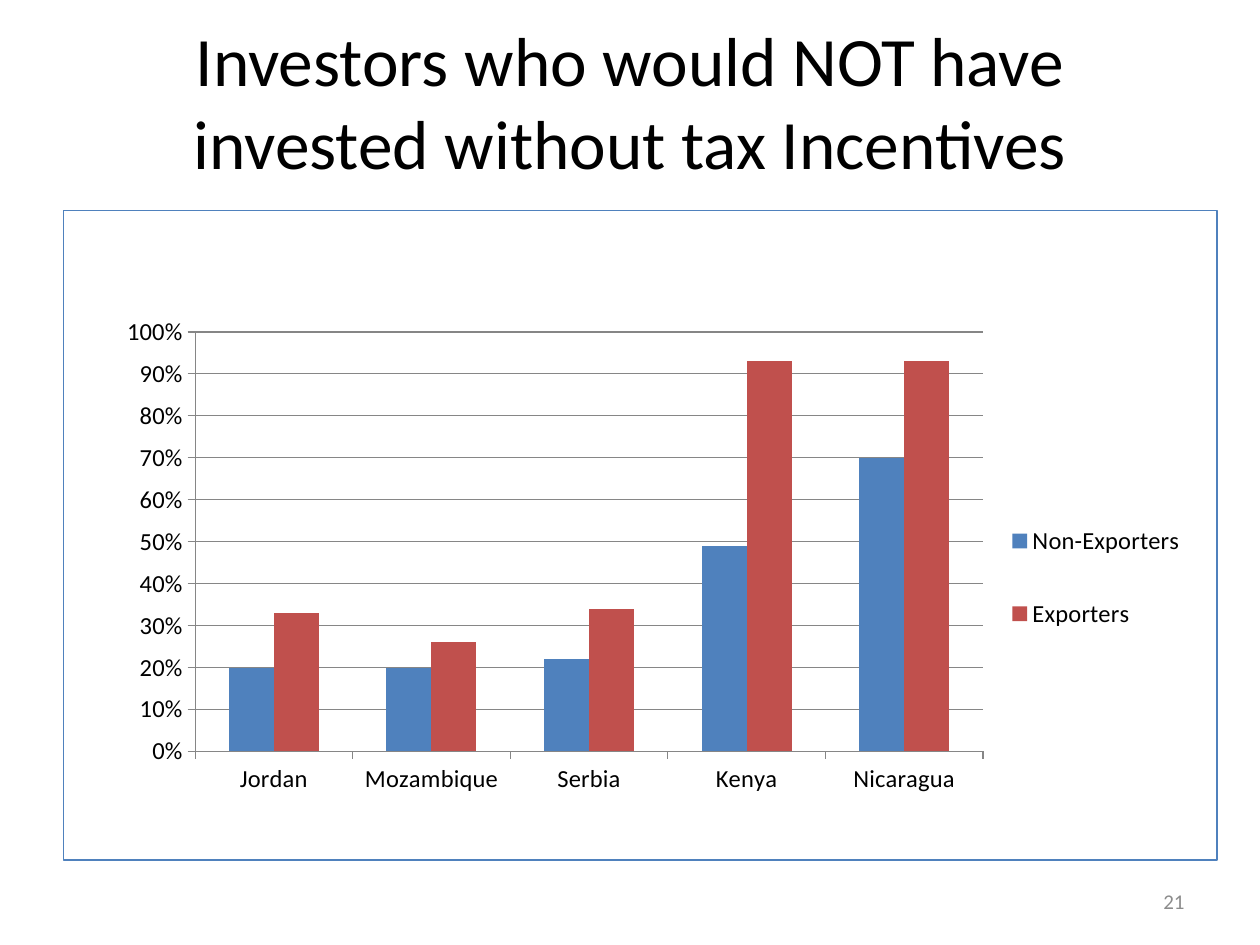
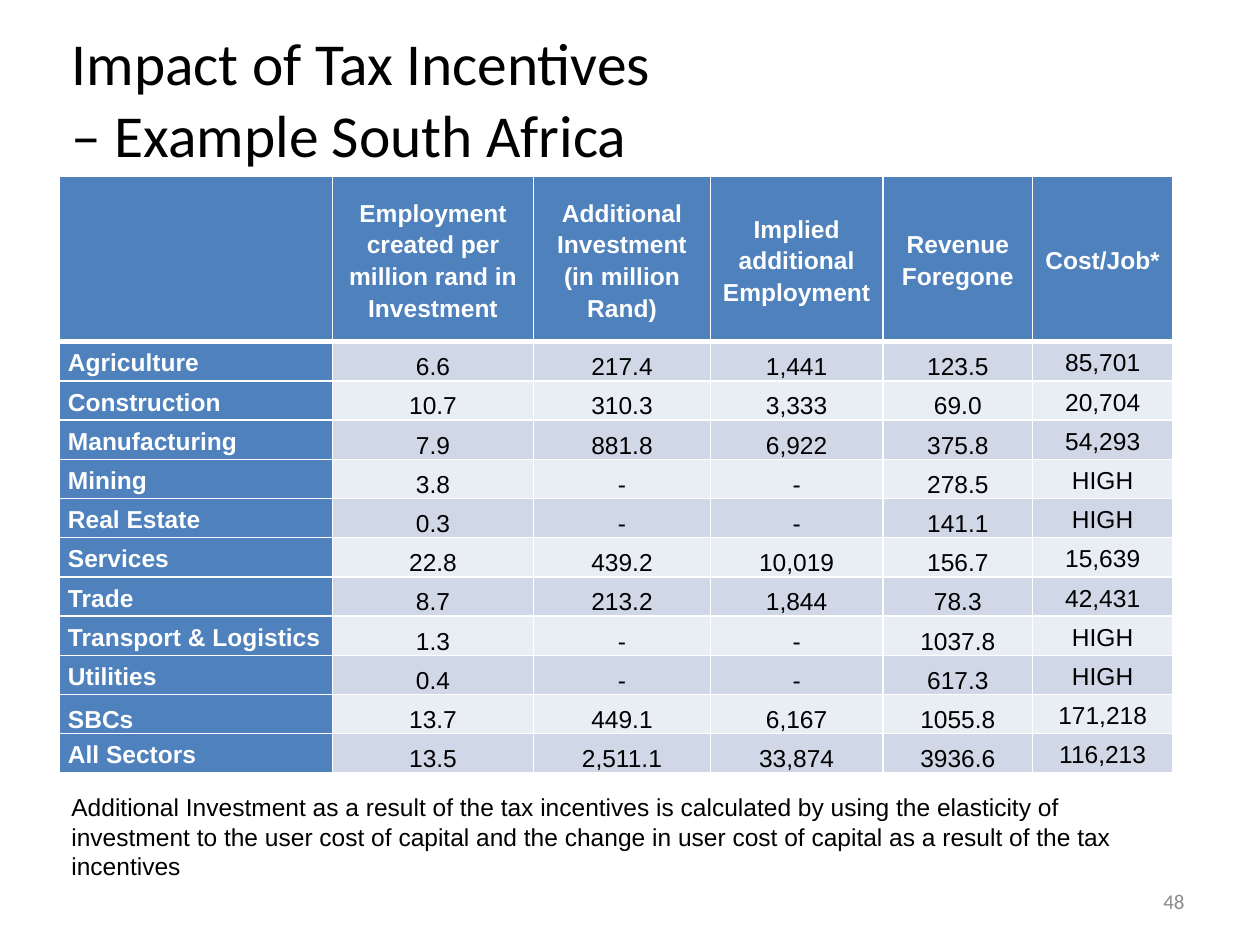
from lxml import etree
from pptx import Presentation
from pptx import util as u
from pptx.chart.data import CategoryChartData
from pptx.dml.color import RGBColor
from pptx.enum import chart as ch
from pptx.enum import text as t
from pptx.oxml import ns, parse_xml

BLUE = RGBColor(0x4F, 0x81, 0xBD)
RED = RGBColor(0xC0, 0x50, 0x4D)
BAND_DARK = RGBColor(0xD0, 0xD8, 0xE8)
BAND_LIGHT = RGBColor(0xE9, 0xED, 0xF4)
AXIS_GREY = RGBColor(0x86, 0x86, 0x86)
NUMBER_GREY = RGBColor(0x8C, 0x8C, 0x8C)
BLACK = RGBColor(0, 0, 0)
WHITE = RGBColor(255, 255, 255)

TITLE_FONT, BODY_FONT = "Calibri", "Arial"
LEFT, CENTER, RIGHT = t.PP_ALIGN.LEFT, t.PP_ALIGN.CENTER, t.PP_ALIGN.RIGHT
MIDDLE, BOTTOM = t.MSO_ANCHOR.MIDDLE, t.MSO_ANCHOR.BOTTOM

COUNTRIES = ["Jordan", "Mozambique", "Serbia", "Kenya", "Nicaragua"]
INVESTORS = [
    ("Non-Exporters", [0.2, 0.2, 0.22, 0.49, 0.7], BLUE),
    ("Exporters", [0.33, 0.26, 0.34, 0.93, 0.93], RED),
]

COLUMN_WIDTHS = [5.51, 4.06, 3.56, 3.48, 3.02, 2.82]
HEADER_HEIGHT, ROW_HEIGHT = 3.33, 0.79
HEADINGS = [
    "",
    "Employment created per million rand in Investment",
    "Additional Investment (in million Rand)",
    "Implied additional Employment",
    "Revenue Foregone",
    "Cost/Job*",
]
SECTORS = [
    ["Agriculture", "6.6", "217.4", "1,441", "123.5", "85,701"],
    ["Construction", "10.7", "310.3", "3,333", "69.0", "20,704"],
    ["Manufacturing", "7.9", "881.8", "6,922", "375.8", "54,293"],
    ["Mining", "3.8", "-", "-", "278.5", "HIGH"],
    ["Real Estate", "0.3", "-", "-", "141.1", "HIGH"],
    ["Services", "22.8", "439.2", "10,019", "156.7", "15,639"],
    ["Trade", "8.7", "213.2", "1,844", "78.3", "42,431"],
    ["Transport & Logistics", "1.3", "-", "-", "1037.8", "HIGH"],
    ["Utilities", "0.4", "-", "-", "617.3", "HIGH"],
    ["SBCs", "13.7", "449.1", "6,167", "1055.8", "171,218"],
    ["All Sectors", "13.5", "2,511.1", "33,874", "3936.6", "116,213"],
]
FOOTNOTE = (
    "Additional Investment as a result of the tax incentives is calculated by using "
    "the elasticity of investment to the user cost of capital and the change in user "
    "cost of capital as a result of the tax incentives"
)


def style_font(font, name, size, color, bold=False):
    font.name = name
    font.size = u.Pt(size)
    font.color.rgb = color
    font.bold = bold


def add_run(para, words, name, size, color, bold=False):
    span = para.add_run()
    span.text = words
    style_font(span.font, name, size, color, bold)


def place(shape, left, top, width, height):
    shape.left, shape.top = u.Cm(left), u.Cm(top)
    shape.width, shape.height = u.Cm(width), u.Cm(height)


def add_titled_slide(deck, lines, left, top, size, align, number):
    """Add a title-only slide with its title and page number."""
    slide = deck.slides.add_slide(deck.slide_layouts[5])
    title = slide.shapes.title
    place(title, left, top, 22.86, 3.18)
    frame = title.text_frame
    frame.auto_size = t.MSO_AUTO_SIZE.NONE
    frame.vertical_anchor = MIDDLE
    para = frame.paragraphs[0]
    para.alignment = align
    for index, line in enumerate(lines):
        if index:
            para.add_line_break()
        add_run(para, line, TITLE_FONT, size, BLACK)
    add_text(slide, number, (18.21, 17.65, 5.92, 1.02), TITLE_FONT, 12,
             NUMBER_GREY, RIGHT, MIDDLE)
    return slide


def add_text(slide, words, area, font, size, color, align=LEFT, anchor=t.MSO_ANCHOR.TOP):
    box = slide.shapes.add_textbox(*(u.Cm(length) for length in area))
    frame = box.text_frame
    frame.word_wrap = True
    frame.vertical_anchor = anchor
    para = frame.paragraphs[0]
    para.alignment = align
    add_run(para, words, font, size, color)


def line_xml(tag, color, points):
    """Build a solid line element, such as a cell border."""
    return parse_xml(
        f'<a:{tag} {ns.nsdecls("a")} w="{u.Pt(points)}">'
        f'<a:solidFill><a:srgbClr val="{color}"/></a:solidFill></a:{tag}>'
    )


def manual_layout(x, y, width, height, inner=False):
    """Build a chart layout in fractions of the chart's size."""
    layout = etree.Element(ns.qn("c:layout"))
    manual = etree.SubElement(layout, ns.qn("c:manualLayout"))
    settings = [("layoutTarget", "inner")] if inner else []
    settings += [("xMode", "edge"), ("yMode", "edge"),
                 ("x", x), ("y", y), ("w", width), ("h", height)]
    for tag, value in settings:
        etree.SubElement(manual, ns.qn(f"c:{tag}")).set("val", str(value))
    return layout


def style_axis(axis):
    axis.major_tick_mark = ch.XL_TICK_MARK.OUTSIDE
    axis.minor_tick_mark = ch.XL_TICK_MARK.NONE
    axis.format.line.color.rgb = AXIS_GREY
    axis.format.line.width = u.Pt(0.75)


def frame_chart(chart):
    """Fix the plot and legend places and draw the outer border."""
    root = chart.element
    plot_area = root.find(".//" + ns.qn("c:plotArea"))
    legend_place = root.find(".//" + ns.qn("c:legendPos"))
    for holder in (plot_area, legend_place.getparent()):
        for layout in holder.findall(ns.qn("c:layout")):
            holder.remove(layout)
    plot_area.insert(0, manual_layout(0.114, 0.187, 0.683, 0.646, inner=True))
    legend_place.addnext(manual_layout(0.81, 0.42, 0.17, 0.29))
    border = etree.Element(ns.qn("c:spPr"))
    etree.SubElement(border, ns.qn("a:noFill"))
    border.append(line_xml("ln", BLUE, 0.75))
    root.find(ns.qn("c:chart")).addnext(border)


def add_investor_chart(slide):
    data = CategoryChartData(number_format="0%")
    data.categories = COUNTRIES
    for name, shares, _ in INVESTORS:
        data.add_series(name, shares)
    chart = slide.shapes.add_chart(
        ch.XL_CHART_TYPE.COLUMN_CLUSTERED,
        u.Cm(1.27), u.Cm(4.23), u.Cm(23.28), u.Cm(13.12), data).chart
    style_font(chart.font, TITLE_FONT, 14, BLACK)
    chart.has_title = False
    chart.has_legend = True
    chart.legend.position = ch.XL_LEGEND_POSITION.RIGHT
    chart.legend.include_in_layout = False

    plot = chart.plots[0]
    plot.gap_width = 150
    plot.overlap = 0
    plot.vary_by_categories = False
    for series, (_, _, color) in zip(plot.series, INVESTORS):
        series.format.fill.solid()
        series.format.fill.fore_color.rgb = color

    shares_axis = chart.value_axis
    style_axis(chart.category_axis)
    style_axis(shares_axis)
    shares_axis.minimum_scale, shares_axis.maximum_scale = 0, 1
    shares_axis.major_unit = 0.1
    shares_axis.has_major_gridlines = True
    shares_axis.major_gridlines.format.line.color.rgb = AXIS_GREY
    shares_axis.major_gridlines.format.line.width = u.Pt(0.75)
    shares_axis.tick_labels.number_format = "0%"
    shares_axis.tick_labels.number_format_is_linked = False
    frame_chart(chart)


def fill_cell(cell, words, fill, color, bold, align, anchor, top_line, bottom_line):
    cell.margin_left = cell.margin_right = u.Cm(0.18)
    cell.margin_top = cell.margin_bottom = 0
    cell.vertical_anchor = anchor
    cell.fill.solid()
    cell.fill.fore_color.rgb = fill
    para = cell.text_frame.paragraphs[0]
    para.alignment = align
    para.line_spacing = 1.15
    if words:
        add_run(para, words, BODY_FONT, 14, color, bold)
    borders = [("lnL", 1), ("lnR", 1), ("lnT", top_line), ("lnB", bottom_line)]
    properties = cell._tc.get_or_add_tcPr()
    for index, (side, points) in enumerate(borders):
        properties.insert(index, line_xml(side, WHITE, points))


def add_sector_table(slide):
    rows = [HEADINGS] + SECTORS
    table = slide.shapes.add_table(
        len(rows), len(HEADINGS), u.Cm(1.19), u.Cm(3.56), u.Cm(sum(COLUMN_WIDTHS)),
        u.Cm(HEADER_HEIGHT + ROW_HEIGHT * len(SECTORS))).table
    table.horz_banding = False
    for column, width in zip(table.columns, COLUMN_WIDTHS):
        column.width = u.Cm(width)
    last_column = len(HEADINGS) - 1
    for r, row in enumerate(rows):
        table.rows[r].height = u.Cm(ROW_HEIGHT if r else HEADER_HEIGHT)
        for c, words in enumerate(row):
            heading = r == 0 or c == 0
            band = BAND_DARK if r % 2 else BAND_LIGHT
            low = words == "SBCs" or (not heading and c < last_column)
            fill_cell(
                table.cell(r, c), words,
                fill=BLUE if heading else band,
                color=WHITE if heading else BLACK,
                bold=heading,
                align=CENTER if c else LEFT,
                anchor=BOTTOM if low else MIDDLE,
                top_line=3 if r == 1 else 1,
                bottom_line=3 if r == 0 else 1,
            )


def main():
    deck = Presentation()
    deck.slide_width, deck.slide_height = u.Cm(25.4), u.Cm(19.05)

    investors = add_titled_slide(
        deck, ["Investors who would NOT have invested without tax Incentives"],
        1.27, 0.43, 39.6, CENTER, "21")
    add_investor_chart(investors)

    impact = add_titled_slide(
        deck, ["Impact of Tax Incentives", "– Example South Africa"],
        1.19, 0.38, 34, LEFT, "48")
    add_sector_table(impact)
    add_text(impact, FOOTNOTE, (1.19, 15.85, 22.3, 2.06), BODY_FONT, 14, BLACK)

    deck.save("out.pptx")


if __name__ == "__main__":
    main()
